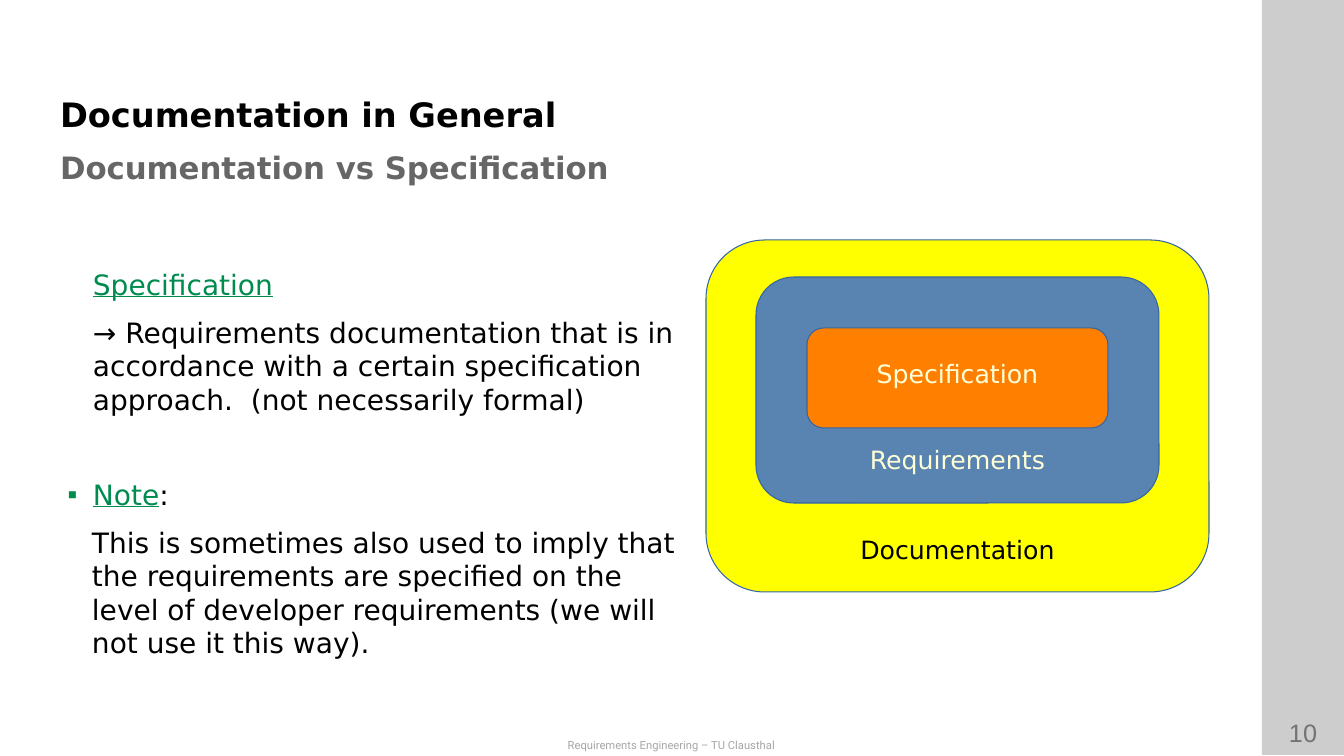
from lxml.etree import SubElement
from pptx import Presentation
from pptx.dml.color import RGBColor
from pptx.enum.shapes import MSO_SHAPE as Shape
from pptx.enum.text import MSO_ANCHOR as Anchor, PP_ALIGN as Align
from pptx.oxml.ns import qn
from pptx.util import Emu, Pt

COLORS = {
    "black": "000000", "subtitle": "666666", "green": "008C4F", "cream": "FFFFD7",
    "yellow": "FFFF00", "blue": "5983B0", "orange": "FF8000", "outline": "3465A4",
    "sidebar": "CDCDCD", "number": "737373", "footer": "A6A6A6",
}
SANS = "DejaVu Sans"
SLIDE_SIZE = (1344, 756)
SIDEBAR = (1262, 0, 82, 755)
BODY_BOX = (68, 196, 612, 535)

# text, box, font, size, colour, bold, anchor
HEADINGS = [
    ("Documentation in General", (60, 80, 1141, 54), SANS, 24, "black", True, Anchor.BOTTOM),
    ("Documentation vs Specification", (60, 140, 1141, 54), SANS, 22, "subtitle", True,
     Anchor.MIDDLE),
]
# text, box, font, size, colour
FOOTERS = [
    ("10", (1261, 712, 84, 40), "Arial", 18, "number"),
    ("Requirements Engineering – TU Clausthal", (0, 733, 1343, 23), "Roboto", 8, "footer"),
]
# left margin, space before in points, bulleted, runs of (text, colour, underlined)
BODY = [
    (25, 0, False, [("Specification", "green", True)]),
    (25, 10, False, [("→ Requirements documentation that is in accordance with a certain "
                      "specification approach.  (not necessarily formal)", "black", False)]),
    (25, 44, True, [("Note", "green", True), (":", "black", False)]),
    (24, 10, False, [("This is sometimes also used to imply that the requirements are "
                      "specified on the level of developer requirements (we will not use "
                      "it this way).", "black", False)]),
]
# name, box, fill, label top, label colour; outermost first
NESTED_SETS = [
    ("Documentation", (706, 240, 503, 352), "yellow", 529, "black"),
    ("Requirements", (756, 277, 403, 226), "blue", 439, "cream"),
    ("Specification", (807, 328, 301, 100), "orange", 353, "cream"),
]
LABEL_WIDTH, LABEL_HEIGHT = 251, 38
BULLET_INDENT = 28


def px(length):
    return Emu(round(length * 914400 / 100.8))


def color(name):
    return RGBColor.from_string(COLORS[name])


def add_box(slide, kind, box, fill, line=None):
    shape = slide.shapes.add_shape(kind, *map(px, box))
    shape.shadow.inherit = False
    shape.fill.solid()
    shape.fill.fore_color.rgb = color(fill)
    if line:
        shape.line.color.rgb = color(line)
        shape.line.width = Pt(0)
    else:
        shape.line.fill.background()


def add_frame(slide, box, anchor, inset=True):
    frame = slide.shapes.add_textbox(*map(px, box)).text_frame
    frame.word_wrap = True
    frame.vertical_anchor = anchor
    if not inset:
        frame.margin_left = frame.margin_top = frame.margin_right = frame.margin_bottom = 0
    return frame


def add_run(paragraph, text, font, size, color_name, bold=False, underline=False):
    run = paragraph.add_run()
    run.text = text
    run.font.name = font
    run.font.size = Pt(size)
    run.font.bold = bold
    run.font.underline = underline
    run.font.color.rgb = color(color_name)


def add_centred(slide, text, box, font, size, color_name):
    paragraph = add_frame(slide, box, Anchor.TOP).paragraphs[0]
    paragraph.alignment = Align.CENTER
    add_run(paragraph, text, font, size, color_name)


def set_indent(paragraph, margin, bulleted):
    properties = paragraph._p.get_or_add_pPr()
    properties.set("marL", str(px(margin)))
    properties.set("indent", str(px(-BULLET_INDENT) if bulleted else 0))
    if not bulleted:
        SubElement(properties, qn("a:buNone"))
        return
    bullet_color = SubElement(properties, qn("a:buClr"))
    SubElement(bullet_color, qn("a:srgbClr"), val=COLORS["green"])
    SubElement(properties, qn("a:buSzPct"), val="45000")
    SubElement(properties, qn("a:buFont"), typeface=SANS)
    SubElement(properties, qn("a:buChar"), char="◾")


def add_body(slide):
    frame = add_frame(slide, BODY_BOX, Anchor.MIDDLE, inset=False)
    for index, (margin, space_before, bulleted, runs) in enumerate(BODY):
        paragraph = frame.add_paragraph() if index else frame.paragraphs[0]
        set_indent(paragraph, margin, bulleted)
        paragraph.space_before = Pt(space_before)
        for text, color_name, underline in runs:
            add_run(paragraph, text, SANS, 20, color_name, underline=underline)


def add_nested_sets(slide):
    for name, box, fill, label_top, label_color in NESTED_SETS:
        add_box(slide, Shape.ROUNDED_RECTANGLE, box, fill, "outline")
        label_left = box[0] + (box[2] - LABEL_WIDTH) / 2
        label_box = (label_left, label_top, LABEL_WIDTH, LABEL_HEIGHT)
        add_centred(slide, name, label_box, SANS, 18, label_color)


def main():
    presentation = Presentation()
    presentation.slide_width, presentation.slide_height = map(px, SLIDE_SIZE)
    slide = presentation.slides.add_slide(presentation.slide_layouts[6])
    add_box(slide, Shape.RECTANGLE, SIDEBAR, "sidebar")
    for footer in FOOTERS:
        add_centred(slide, *footer)
    for text, box, font, size, color_name, bold, anchor in HEADINGS:
        frame = add_frame(slide, box, anchor, inset=False)
        add_run(frame.paragraphs[0], text, font, size, color_name, bold)
    add_body(slide)
    add_nested_sets(slide)
    presentation.save("out.pptx")


if __name__ == "__main__":
    main()
